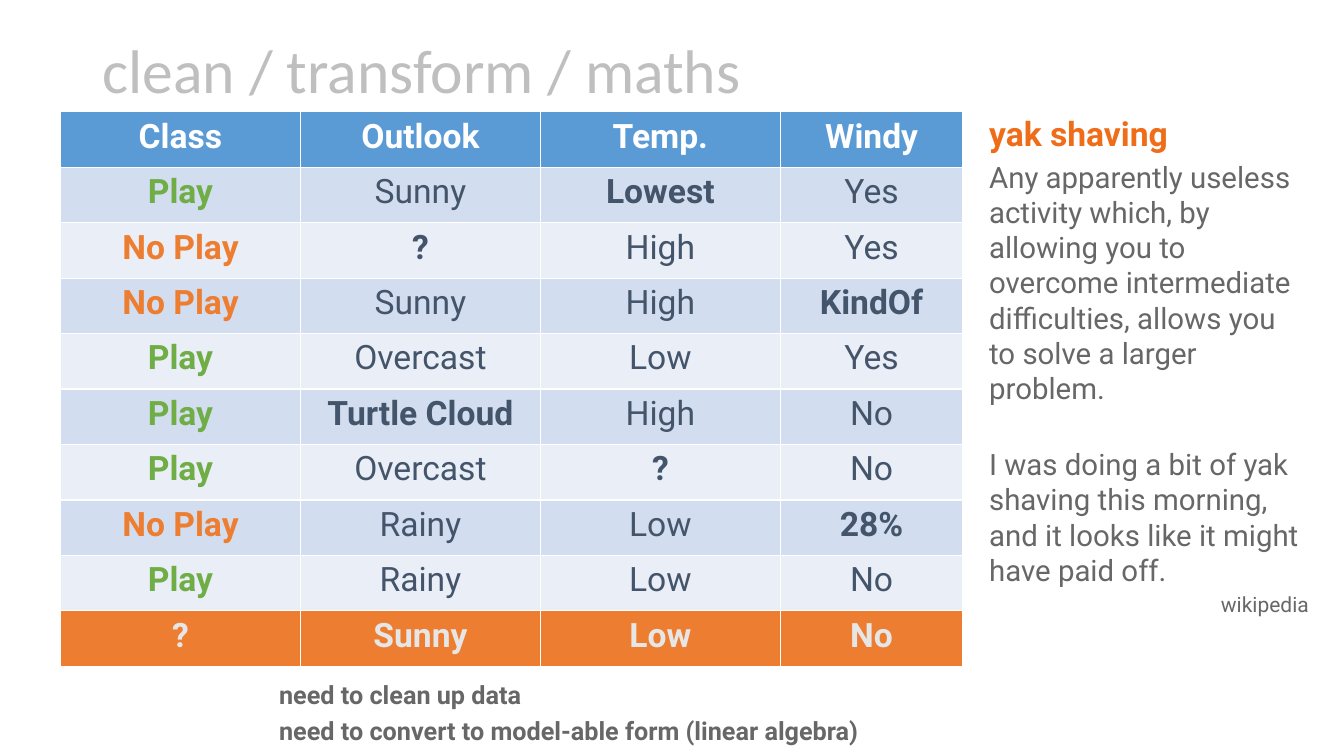
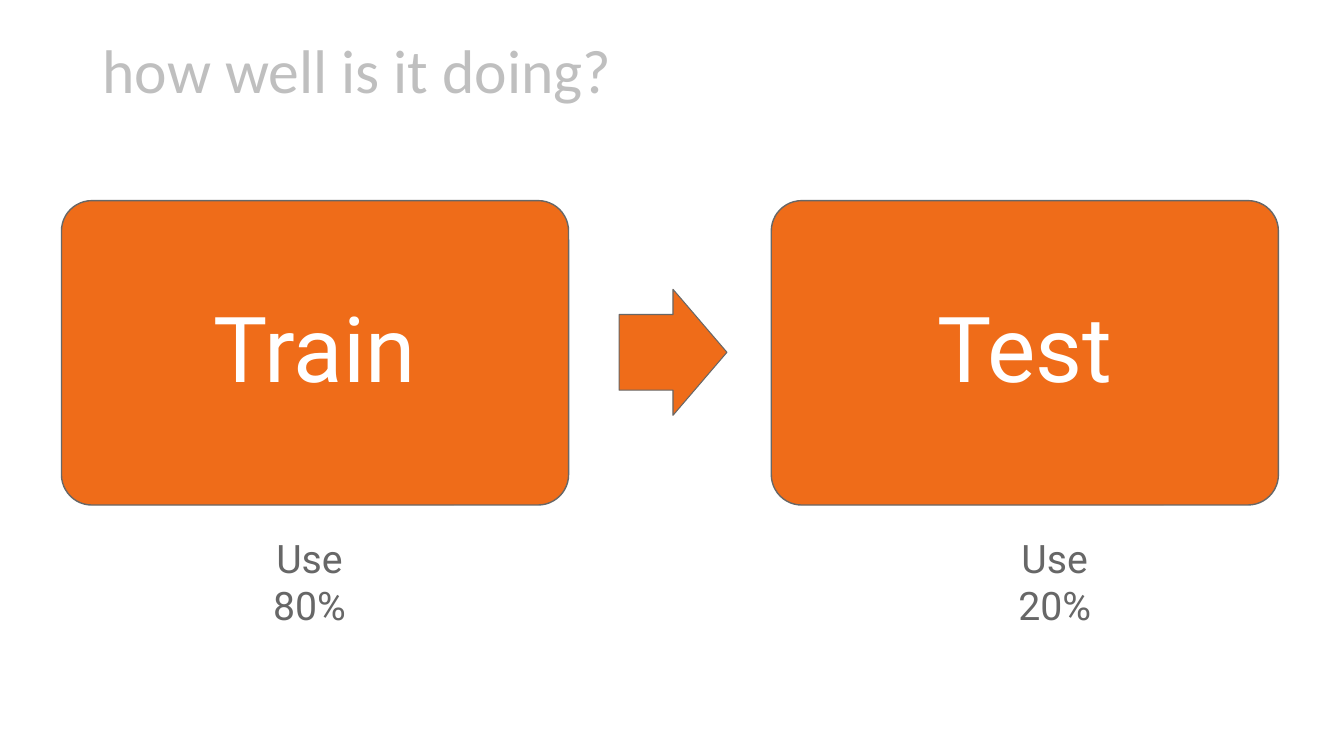
"""Builds two slides on cleaning data and on splitting it into train and test sets."""
from lxml import etree
from pptx import Presentation
from pptx.dml.color import RGBColor
from pptx.enum.shapes import MSO_SHAPE
from pptx.enum.text import MSO_ANCHOR, PP_ALIGN
from pptx.oxml.ns import qn
from pptx.util import Inches, Pt

ROUNDED, ARROW = MSO_SHAPE.ROUNDED_RECTANGLE, MSO_SHAPE.RIGHT_ARROW
LEFT, CENTER, RIGHT = PP_ALIGN.LEFT, PP_ALIGN.CENTER, PP_ALIGN.RIGHT
TOP, MIDDLE = MSO_ANCHOR.TOP, MSO_ANCHOR.MIDDLE

COLORS = {
    "title": "BFBFBF", "accent": "EF6C19", "body": "676767", "white": "FFFFFF",
    "header": "5B9BD5", "odd": "D2DEEF", "even": "EAEFF7", "unknown": "ED7D31",
    "play": "70AD47", "no_play": "ED7D31", "cell": "44546A", "pale": "E7E6E6",
}
TITLE_FONT, BODY_FONT = "Calibri", "Roboto"

WEATHER = [
    ("Class", "Outlook", "Temp.", "Windy"),
    ("Play", "Sunny", "Lowest", "Yes"),
    ("No Play", "?", "High", "Yes"),
    ("No Play", "Sunny", "High", "KindOf"),
    ("Play", "Overcast", "Low", "Yes"),
    ("Play", "Turtle Cloud", "High", "No"),
    ("Play", "Overcast", "?", "No"),
    ("No Play", "Rainy", "Low", "28%"),
    ("Play", "Rainy", "Low", "No"),
    ("?", "Sunny", "Low", "No"),
]
DIRTY_VALUES = {"Lowest", "?", "KindOf", "Turtle Cloud", "28%"}
CLASS_COLORS = {"Play": "play", "No Play": "no_play"}
COLUMN_WIDTHS = (2.38, 2.38, 2.38, 1.81)
ROW_HEIGHT = 0.55

YAK_SHAVING = (
    "Any apparently useless activity which, by allowing you to overcome "
    "intermediate difficulties, allows you to solve a larger problem."
)
YAK_EXAMPLE = ("I was doing a bit of yak shaving this morning, "
               "and it looks like it might have paid off.")


def rgb(color):
    """Return the named colour."""
    return RGBColor.from_string(COLORS[color])


def write(paragraph, text, size, color, bold=False, align=LEFT, before=0,
          font=BODY_FONT, spacing=None):
    """Fill a paragraph and style its text."""
    paragraph.text = text
    paragraph.alignment = align
    if before:
        paragraph.space_before = Pt(before)
    if spacing:
        paragraph.line_spacing = spacing
    for run in paragraph.runs:
        run.font.name = font
        run.font.size = Pt(size)
        run.font.bold = bold
        run.font.color.rgb = rgb(color)


def add_text(slide, box, lines, anchor=TOP, inset=0.1):
    """Add a wrapping text box; each line holds the arguments of write."""
    frame = slide.shapes.add_textbox(*map(Inches, box)).text_frame
    frame.word_wrap = True
    frame.vertical_anchor = anchor
    frame.margin_left = Inches(inset)
    for index, line in enumerate(lines):
        paragraph = frame.add_paragraph() if index else frame.paragraphs[0]
        write(paragraph, **line)


def add_titled_slide(prs, title):
    """Add a blank slide with the shared title style."""
    slide = prs.slides.add_slide(prs.slide_layouts[6])
    heading = dict(text=title, size=44, color="title", font=TITLE_FONT, spacing=0.9)
    add_text(slide, (0.92, 0, 11.5, 1.45), [heading], anchor=MIDDLE)
    return slide


def add_borders(cell):
    """Draw thin white lines on the four sides of a cell."""
    properties = cell._tc.get_or_add_tcPr()
    for side in ("a:lnL", "a:lnR", "a:lnT", "a:lnB"):
        border = etree.SubElement(properties, qn(side), w=str(Pt(1)))
        fill = etree.SubElement(border, qn("a:solidFill"))
        etree.SubElement(fill, qn("a:srgbClr"), val=COLORS["white"])


def cell_style(row, text):
    """Return the fill, text colour and boldness of a weather cell."""
    if row == 0:
        return "header", "white", True
    if row == len(WEATHER) - 1:
        return "unknown", "pale", True
    band = "odd" if row % 2 else "even"
    bold = text in CLASS_COLORS or text in DIRTY_VALUES
    return band, CLASS_COLORS.get(text, "cell"), bold


def add_weather_table(slide, left, top):
    """Add the table of weather observations."""
    size = (sum(COLUMN_WIDTHS), ROW_HEIGHT * len(WEATHER))
    table = slide.shapes.add_table(len(WEATHER), len(COLUMN_WIDTHS),
                                   *map(Inches, (left, top, *size))).table
    for column, width in zip(table.columns, COLUMN_WIDTHS):
        column.width = Inches(width)
    for row, values in enumerate(WEATHER):
        table.rows[row].height = Inches(ROW_HEIGHT)
        for column, text in enumerate(values):
            cell = table.cell(row, column)
            fill, color, bold = cell_style(row, text)
            add_borders(cell)
            cell.fill.solid()
            cell.fill.fore_color.rgb = rgb(fill)
            cell.margin_left = cell.margin_right = Inches(0.2)
            write(cell.text_frame.paragraphs[0], text, 24, color, bold, CENTER)


def add_accent_shape(slide, kind, box, adjustments, line_width):
    """Add an orange outlined shape."""
    shape = slide.shapes.add_shape(kind, *map(Inches, box))
    shape.shadow.inherit = False
    for index, value in enumerate(adjustments):
        shape.adjustments[index] = value
    shape.fill.solid()
    shape.fill.fore_color.rgb = rgb("accent")
    shape.line.color.rgb = rgb("body")
    shape.line.width = Pt(line_width)
    return shape


def add_data_set(slide, left, name, share, share_left):
    """Add a data set card with its share below."""
    card = add_accent_shape(slide, ROUNDED, (left, 1.99, 5.03, 3.02), [0.1], 1)
    card.text_frame.vertical_anchor = MIDDLE
    write(card.text_frame.paragraphs[0], name, 65, "white", align=CENTER, spacing=0.9)
    add_text(slide, (share_left, 5.25, 1.2, 1.03),
             [dict(text=share, size=28, color="body", align=CENTER)])


def build_cleaning_slide(prs):
    """Build the slide on cleaning and transforming data."""
    slide = add_titled_slide(prs, "clean / transform / maths")
    add_weather_table(slide, 0.6, 1.11)
    add_text(slide, (9.67, 1.07, 3.41, 4.8), [
        dict(text="yak shaving", size=24, color="accent", bold=True),
        dict(text=YAK_SHAVING, size=21, color="body", before=4),
        dict(text=YAK_EXAMPLE, size=21, color="body", before=29),
        dict(text="wikipedia", size=15, color="body", align=RIGHT, before=3),
    ], inset=0.14)
    note = dict(size=18, color="body", bold=True)
    add_text(slide, (2.67, 6.69, 6.54, 0.69), [
        dict(text="need to clean up data", **note),
        dict(text="need to convert to model-able form (linear algebra)", before=4, **note),
    ])


def build_split_slide(prs):
    """Build the slide on the train and test split."""
    slide = add_titled_slide(prs, "how well is it doing?")
    add_data_set(slide, 0.61, "Train", "Use 80%", 2.47)
    add_accent_shape(slide, ARROW, (6.14, 2.87, 1.07, 1.25), [0.6, 0.5], 0.75)
    add_data_set(slide, 7.65, "Test", "Use 20%", 9.86)


def main():
    """Build and save the presentation."""
    prs = Presentation()
    prs.slide_width, prs.slide_height = Inches(13.33), Inches(7.5)
    build_cleaning_slide(prs)
    build_split_slide(prs)
    prs.save("out.pptx")


if __name__ == "__main__":
    main()
